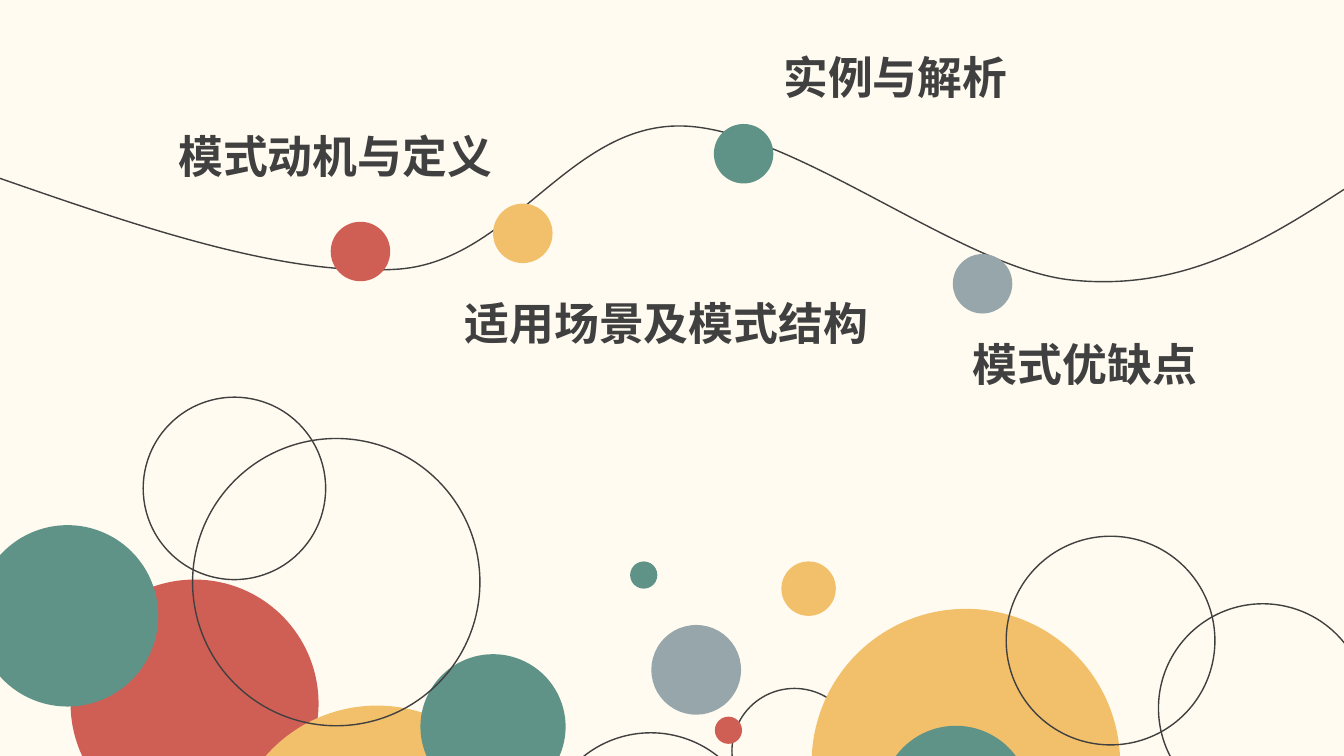
from pptx import Presentation
from pptx.dml.color import RGBColor
from pptx.enum.shapes import MSO_SHAPE
from pptx.enum.text import MSO_AUTO_SIZE
from pptx.oxml.ns import qn
from pptx.util import Inches, Pt
from lxml.etree import SubElement

COLORS = {
    "cream": "FFFBF0",
    "ink": "404040",
    "red": "CF5F55",
    "yellow": "F2C06B",
    "green": "5F9387",
    "gray": "97A6AB",
}
FONT = "Noto Sans CJK SC"

# left, top, diameter, fill (None for a ring), from back to front
BUBBLES = [
    (0.7, 5.75, 2.46, "red"),
    (2.27, 7, 2.94, "yellow"),
    (4.17, 6.49, 1.44, "green"),
    (5.39, 7.27, 2.13, None),
    (1.91, 4.35, 2.85, None),
    (-0.23, 5.21, 1.8, "green"),
    (7.26, 6.83, 1.24, None),
    (8.05, 6.04, 3.06, "yellow"),
    (8.74, 7.2, 1.48, "green"),
    (9.98, 5.32, 2.07, None),
    (11.49, 5.99, 2.07, None),
    (6.46, 6.2, 0.89, "gray"),
    (7.09, 7.11, 0.27, "red"),
    (6.25, 5.57, 0.27, "green"),
    (7.75, 5.57, 0.54, "yellow"),
    (1.42, 3.94, 1.81, None),
]

WAVE_START = (0, 1.77)
# two control points and an end point per segment
WAVE = [
    ((1.41, 2.26), (2.83, 2.75), (3.96, 2.67)),
    ((5.08, 2.58), (5.64, 1.23), (6.76, 1.25)),
    ((7.87, 1.27), (9.55, 2.68), (10.64, 2.78)),
    ((11.74, 2.89), (12.54, 2.39), (13.33, 1.88)),
]

DOT = 0.59
# dot left, dot top, colour, then label left, top, width, text
TOPICS = [
    (3.28, 2.2, "red", 1.67, 1.23, 3.32, "模式动机与定义"),
    (4.89, 2.02, "yellow", 4.51, 2.88, 4.23, "适用场景及模式结构"),
    (7.08, 1.23, "green", 7.67, 0.44, 3.11, "实例与解析"),
    (9.45, 2.52, "gray", 9.55, 3.29, 2.47, "模式优缺点"),
]


def rgb(name):
    return RGBColor.from_string(COLORS[name])


class Canvas:
    def __init__(self, s):
        self.s = s
        s.background.fill.solid()
        s.background.fill.fore_color.rgb = rgb("cream")

    def outline(self, sp):
        sp.shadow.inherit = False
        sp.fill.background()
        sp.line.color.rgb = rgb("ink")
        sp.line.width = Pt(1)

    def circle(self, left, top, size, color=None):
        sp = self.s.shapes.add_shape(
            MSO_SHAPE.OVAL, Inches(left), Inches(top), Inches(size), Inches(size))
        if color is None:
            self.outline(sp)
            return
        sp.shadow.inherit = False
        sp.fill.solid()
        sp.fill.fore_color.rgb = rgb(color)
        sp.line.fill.background()

    def curve(self, start, segments):
        """Draw an open line through the end points, bent by the control points."""
        fb = self.s.shapes.build_freeform(*map(Inches, start))
        fb.add_line_segments(
            [tuple(map(Inches, seg[-1])) for seg in segments], close=False)
        sp = fb.convert_to_shape()
        self.outline(sp)
        for line, seg in zip(list(sp._element.iter(qn("a:lnTo"))), segments):
            line.tag = qn("a:cubicBezTo")
            line.clear()
            for x, y in seg:
                SubElement(line, qn("a:pt"), x=str(Inches(x) - sp.left),
                           y=str(Inches(y) - sp.top))

    def label(self, left, top, width, text):
        sp = self.s.shapes.add_textbox(
            Inches(left), Inches(top), Inches(width), Inches(0.64))
        tf = sp.text_frame
        tf.word_wrap = True
        tf.auto_size = MSO_AUTO_SIZE.SHAPE_TO_FIT_TEXT
        r = tf.paragraphs[0].add_run()
        r.text = text
        r.font.size = Pt(32)
        r.font.bold = True
        r.font.name = FONT
        r.font.color.rgb = rgb("ink")
        SubElement(r.font._element, qn("a:ea"), typeface=FONT)


def main():
    prs = Presentation()
    prs.slide_width, prs.slide_height = Inches(13.33), Inches(7.5)
    canvas = Canvas(prs.slides.add_slide(prs.slide_layouts[6]))

    for bubble in BUBBLES:
        canvas.circle(*bubble)
    canvas.curve(WAVE_START, WAVE)
    for left, top, color, *_ in TOPICS:
        canvas.circle(left, top, DOT, color)
    for *_, left, top, width, text in TOPICS:
        canvas.label(left, top, width, text)

    prs.save("out.pptx")


if __name__ == "__main__":
    main()
